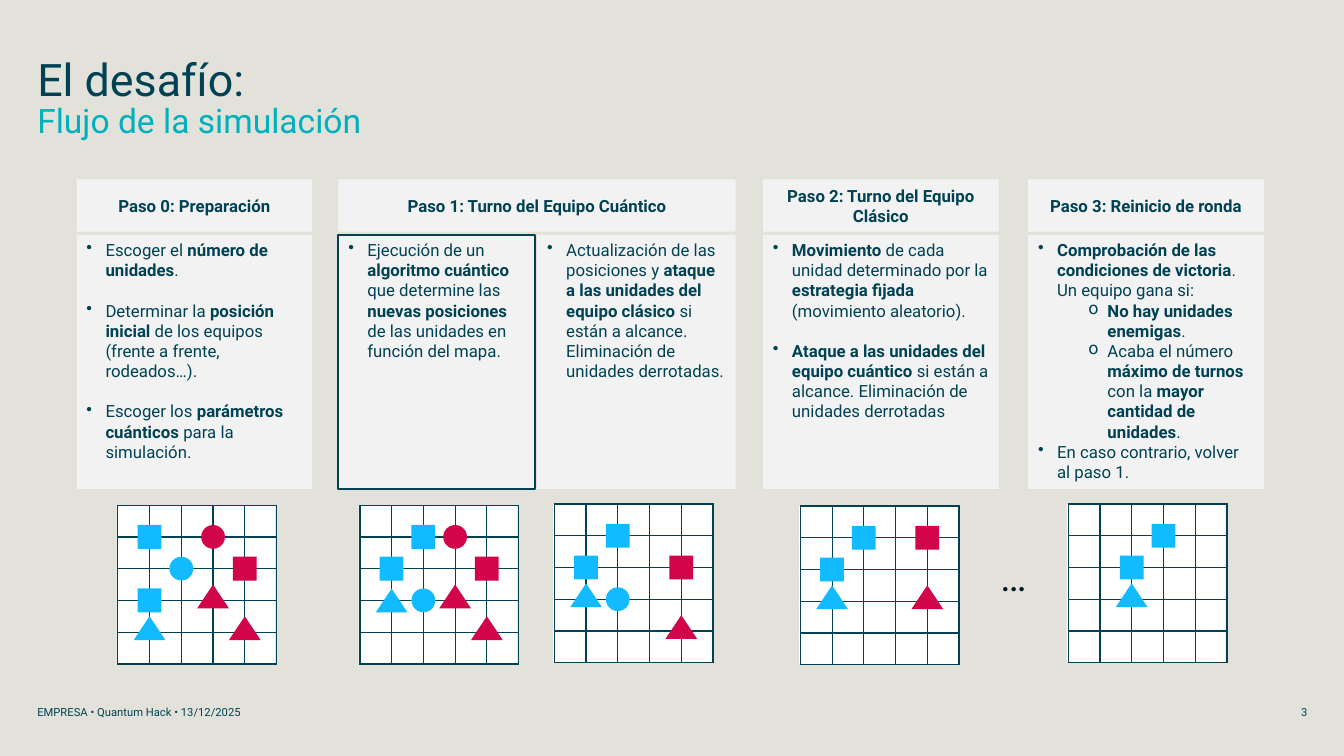
from lxml.etree import SubElement
from pptx import Presentation
from pptx.dml.color import RGBColor
from pptx.enum.shapes import MSO_SHAPE
from pptx.enum.text import MSO_ANCHOR, PP_ALIGN
from pptx.oxml.ns import qn
from pptx.util import Cm, Pt

SAND = RGBColor(0xE3, 0xE2, 0xDA)
PETROL = RGBColor(0x00, 0x42, 0x54)
TEAL = RGBColor(0x00, 0xB0, 0xBD)
PANEL = RGBColor(0xF2, 0xF2, 0xF2)
WHITE = RGBColor(0xFF, 0xFF, 0xFF)
BLUE = RGBColor(0x12, 0xBB, 0xFF)
RED = RGBColor(0xD2, 0x04, 0x4A)
INK = RGBColor(0x00, 0x19, 0x23)

SQUARE, CIRCLE, TRIANGLE = MSO_SHAPE.RECTANGLE, MSO_SHAPE.OVAL, MSO_SHAPE.ISOSCELES_TRIANGLE
CELL, CELLS = 0.8, 5
PIECE = 0.6
HEADER_TOP, HEADER_HEIGHT = 4.52, 1.32
BODY_TOP, BODY_HEIGHT = 5.92, 6.4

HEADERS = [
    (1.93, 5.94, "Paso 0: Preparación"),
    (8.53, 10.01, "Paso 1: Turno del Equipo Cuántico"),
    (19.23, 5.94, "Paso 2: Turno del Equipo Clásico"),
    (25.91, 5.94, "Paso 3: Reinicio de ronda"),
]

# Each paragraph: level, space before in points, text with **bold** parts
BODIES = [
    (1.93, 5.94, None, [
        (0, 0, "Escoger el **número de unidades**."),
        (0, 14.4, "Determinar la **posición inicial** de los equipos (frente a frente, rodeados…)."),
        (0, 14.4, "Escoger los **parámetros cuánticos** para la simulación."),
    ]),
    (8.53, 4.96, PETROL, [
        (0, 0, "Ejecución de un **algoritmo cuántico **que determine las "
               "**nuevas posiciones **de las unidades en función del mapa."),
    ]),
    (13.54, 5.0, None, [
        (0, 0, "Actualización de las posiciones y **ataque a las unidades del equipo clásico** "
               "si están a alcance. Eliminación de unidades derrotadas."),
    ]),
    (19.23, 5.94, None, [
        (0, 0, "**Movimiento** de cada unidad determinado por la "
               "**estrategia fijada **(movimiento aleatorio)."),
        (0, 14.4, "**Ataque a las unidades del equipo cuántico **si están a alcance. "
                  "Eliminación de unidades derrotadas"),
    ]),
    (25.91, 5.94, None, [
        (0, 0, "**Comprobación de las condiciones de victoria**. Un equipo gana si:"),
        (1, 0, "**No hay unidades enemigas**."),
        (1, 0, "Acaba el número **máximo de turnos **con la **mayor cantidad de unidades**."),
        (0, 0, "En caso contrario, volver al paso 1."),
    ]),
]

# Each piece: shape, colour, grid column, grid row
BOARDS = [
    (2.97, 12.73, [
        (SQUARE, BLUE, 1, 1), (SQUARE, BLUE, 1, 3), (CIRCLE, BLUE, 2, 2), (TRIANGLE, BLUE, 1, 4),
        (SQUARE, RED, 4, 2), (CIRCLE, RED, 3, 1), (TRIANGLE, RED, 4, 4), (TRIANGLE, RED, 3, 3),
    ]),
    (9.07, 12.73, [
        (SQUARE, BLUE, 2, 1), (SQUARE, BLUE, 1, 2), (CIRCLE, BLUE, 2, 3), (TRIANGLE, BLUE, 1, 3.13),
        (SQUARE, RED, 4, 2), (CIRCLE, RED, 3, 1), (TRIANGLE, RED, 4, 4), (TRIANGLE, RED, 3, 3),
    ]),
    (13.97, 12.7, [
        (SQUARE, BLUE, 2, 1), (SQUARE, BLUE, 1, 2), (CIRCLE, BLUE, 2, 3), (TRIANGLE, BLUE, 1, 3),
        (SQUARE, RED, 4, 2), (TRIANGLE, RED, 4, 4),
    ]),
    (20.17, 12.75, [
        (SQUARE, BLUE, 2, 1), (SQUARE, BLUE, 1, 2), (TRIANGLE, BLUE, 1, 3),
        (SQUARE, RED, 4, 1), (TRIANGLE, RED, 4, 3),
    ]),
    (26.92, 12.7, [
        (SQUARE, BLUE, 3, 1), (SQUARE, BLUE, 2, 2), (TRIANGLE, BLUE, 2, 3),
    ]),
]


class SlideBuilder:
    """Draws styled elements on the current slide, with lengths in centimetres."""

    font = "Roboto"

    def __init__(self, slide):
        self.s = slide
        self.s.background.fill.solid()
        self.s.background.fill.fore_color.rgb = SAND

    def run(self, p, text, size=12, color=PETROL, bold=False):
        r = p.add_run()
        r.text = text
        r.font.name, r.font.size, r.font.bold = self.font, Pt(size), bold
        r.font.color.rgb = color

    def text(self, x, y, w, h, anchor=MSO_ANCHOR.TOP, align=PP_ALIGN.LEFT):
        tf = self.s.shapes.add_textbox(Cm(x), Cm(y), Cm(w), Cm(h)).text_frame
        tf.word_wrap, tf.vertical_anchor = True, anchor
        tf.margin_left = tf.margin_right = tf.margin_top = tf.margin_bottom = 0
        tf.paragraphs[0].alignment = align
        return tf.paragraphs[0]

    def shape(self, kind, x, y, w, h, fill, line=None):
        sp = self.s.shapes.add_shape(kind, Cm(x), Cm(y), Cm(w), Cm(h))
        sp.shadow.inherit = False
        sp.fill.solid()
        sp.fill.fore_color.rgb = fill
        if line is None:
            sp.line.fill.background()
        else:
            sp.line.color.rgb, sp.line.width = line, Pt(1.5)
        return sp

    def header(self, x, w, title):
        tf = self.shape(SQUARE, x, HEADER_TOP, w, HEADER_HEIGHT, PANEL).text_frame
        tf.word_wrap, tf.vertical_anchor = True, MSO_ANCHOR.MIDDLE
        tf.paragraphs[0].alignment = PP_ALIGN.CENTER
        self.run(tf.paragraphs[0], title, bold=True)

    def body(self, x, w, line, items):
        tf = self.shape(SQUARE, x, BODY_TOP, w, BODY_HEIGHT, PANEL, line).text_frame
        tf.word_wrap, tf.vertical_anchor = True, MSO_ANCHOR.TOP
        for i, (level, before, text) in enumerate(items):
            p = tf.add_paragraph() if i else tf.paragraphs[0]
            p.alignment, p.level, p.space_before = PP_ALIGN.LEFT, level, Pt(before)
            pPr = p._p.get_or_add_pPr()
            pPr.set("marL", str(Cm(0.48 + 1.27 * level)))
            pPr.set("indent", str(-Cm(0.48)))
            SubElement(pPr, qn("a:buChar"), char="•o"[level])
            for n, part in enumerate(text.split("**")):
                if part:
                    self.run(p, part, bold=n % 2 == 1)

    def grid(self, x, y):
        side = CELL * CELLS
        tbl = self.s.shapes.add_table(CELLS, CELLS, Cm(x), Cm(y), Cm(side), Cm(side)).table
        tbl.first_row = tbl.horz_banding = False
        for cell in tbl.iter_cells():
            cell.margin_left = cell.margin_right = cell.margin_top = cell.margin_bottom = 0
            SubElement(cell.text_frame.paragraphs[0]._p, qn("a:endParaRPr"), sz="800")
            tcPr = cell._tc.get_or_add_tcPr()
            for edge in ("a:lnL", "a:lnR", "a:lnT", "a:lnB"):
                ln = SubElement(tcPr, qn(edge), w=str(Pt(1)))
                SubElement(SubElement(ln, qn("a:solidFill")), qn("a:srgbClr"), val=str(PETROL))
            cell.fill.background()

    def board(self, x, y, pieces):
        self.shape(SQUARE, x - 0.03, y, CELL * CELLS, CELL * CELLS, WHITE)
        self.grid(x, y)
        for kind, color, col, row in pieces:
            w, lift = (CELL, 0.1) if kind == TRIANGLE else (PIECE, 0)
            self.shape(kind, x + col * CELL - w / 2, y + row * CELL - PIECE / 2 - lift, w, PIECE, color)


def main():
    prs = Presentation()
    prs.slide_width, prs.slide_height = Cm(33.87), Cm(19.05)
    b = SlideBuilder(prs.slides.add_slide(prs.slide_layouts[6]))

    p = b.text(0.94, 1.52, 14, 2.41)
    p.line_spacing = 0.85
    b.run(p, "El desafío:", 32)
    p.add_line_break()
    b.run(p, "Flujo de la simulación", 24, TEAL)
    b.run(b.text(0.94, 17.78, 20.14, 0.33, MSO_ANCHOR.BOTTOM),
          "EMPRESA • Quantum Hack • 13/12/2025", 8)
    b.run(b.text(31.88, 17.78, 1.07, 0.33, MSO_ANCHOR.BOTTOM, PP_ALIGN.RIGHT), "3", 8)

    for header in HEADERS:
        b.header(*header)
    for body in BODIES:
        b.body(*body)
    for board in BOARDS:
        b.board(*board)

    p = b.text(25.12, 13.92, 0.84, 1.22, align=PP_ALIGN.CENTER)
    p.space_before = Pt(6)
    b.run(p, "…", 28, INK)
    prs.save("out.pptx")


if __name__ == "__main__":
    main()
